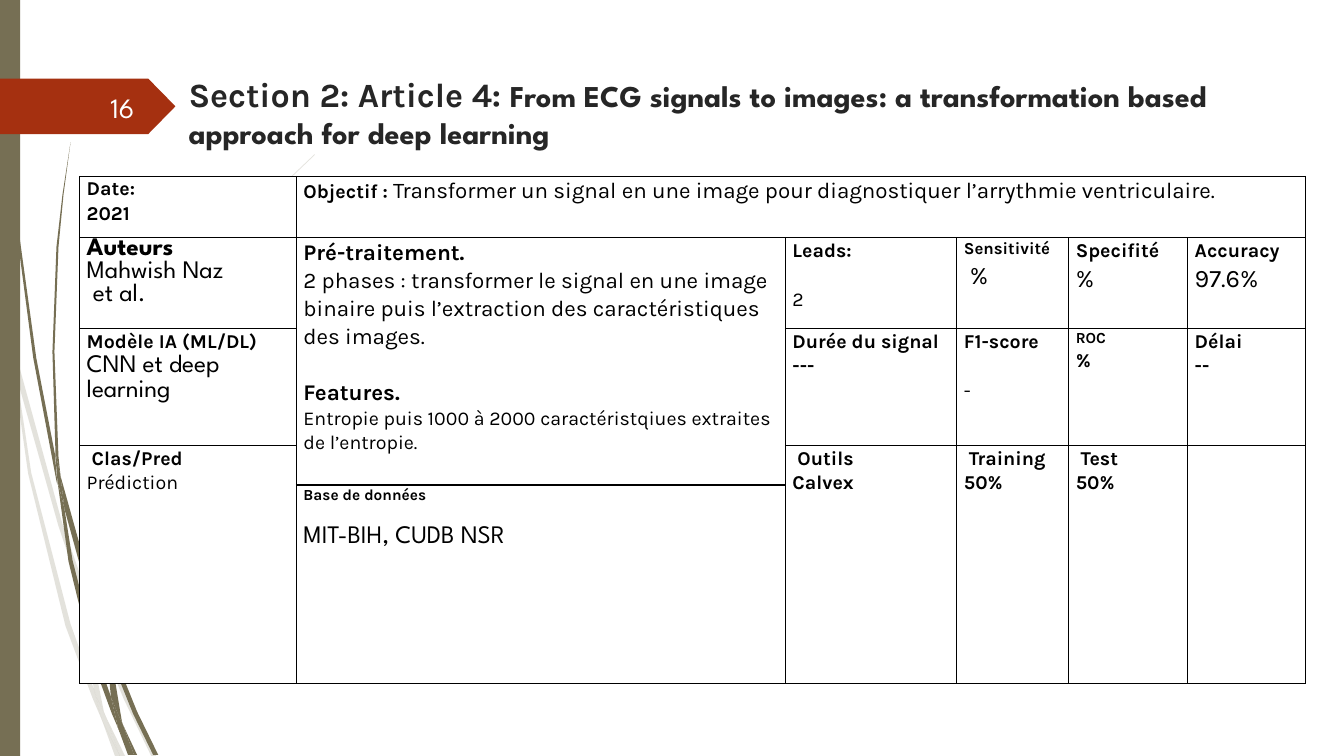
from lxml import etree
from pptx import Presentation
from pptx.dml.color import RGBColor
from pptx.enum.shapes import MSO_SHAPE
from pptx.enum.text import MSO_ANCHOR, PP_ALIGN
from pptx.oxml.ns import qn
from pptx.util import Inches, Pt

RECT, ARROW = MSO_SHAPE.RECTANGLE, MSO_SHAPE.PENTAGON
TOP, MIDDLE = MSO_ANCHOR.TOP, MSO_ANCHOR.MIDDLE
LEFT, RIGHT = PP_ALIGN.LEFT, PP_ALIGN.RIGHT
KARLA, SPARTAN = "Karla", "League Spartan"
OLIVE, RED, BLACK, WHITE, DARK = "766F54", "A53010", "000000", "FFFFFF", "262626"

# Title: runs of (text, format)
TITLE = [
    ("Section 2: Article 4: ", dict(size=24.3, color=DARK)),
    ("From ECG signals to images: a transformation based approach for deep learning",
     dict(size=21.6, font=SPARTAN, color=DARK)),
]

# Table: (row, column, row span, column span, paragraphs);
# a paragraph is (space before, runs), a run is (text, format)
PLAIN = dict(bold=False)
BODY = dict(size=16, bold=False)
HEAD = dict(size=16)
SMALL = dict(size=11)
VALUE = dict(size=18, bold=False)
NAME = dict(size=18, font=SPARTAN, bold=False)
COLS = [2.15, 4.85, 1.7, 1.11, 1.18, 1.17]
ROWS = [0.61, 0.73, 1.02, 0.39, 1.97]
CELLS = [
    (0, 0, 1, 1, [(0, [("Date:", {})]), (0, [("2021", {})])]),
    (0, 1, 1, 5, [(0, [
        ("Objectif : ", {}),
        ("Transformer un signal en une image pour diagnostiquer l’arrythmie ventriculaire.", BODY)])]),
    (1, 0, 1, 1, [(0, [("Auteurs", dict(size=18, font=SPARTAN))]),
                  (0, [("Mahwish Naz \n et al.", NAME)])]),
    (1, 1, 3, 1, [
        (0, [("Pré-traitement.", HEAD)]),
        (0, [("2 phases : transformer le signal en une image binaire puis "
              "l’extraction des caractéristiques des images.", BODY)]),
        (20, [("Features.\n", HEAD),
              ("Entropie puis 1000 à 2000 caractéristqiues extraites de l’entropie.", PLAIN)])]),
    (1, 2, 1, 1, [(0, [("Leads:", {})]), (17.5, [("2", PLAIN)])]),
    (1, 3, 1, 1, [(0, [("Sensitivité", dict(size=12))]), (0, [(" %", VALUE)])]),
    (1, 4, 1, 1, [(0, [("Specifité", {})]), (0, [("%", VALUE)])]),
    (1, 5, 1, 1, [(0, [("Accuracy", {})]), (0, [("97.6%", VALUE)])]),
    (2, 0, 1, 1, [(0, [("Modèle IA (ML/DL)", {})]), (0, [("CNN et deep\nlearning", NAME)])]),
    (2, 2, 1, 1, [(0, [("Durée du signal", {})]), (0, [("---", {})])]),
    (2, 3, 1, 1, [(0, [("F1-score", {})]), (17.5, [("-", PLAIN)])]),
    (2, 4, 1, 1, [(0, [("ROC", SMALL)]), (0, [("%", {})])]),
    (2, 5, 1, 1, [(0, [("Délai", {})]), (0, [("--", {})])]),
    (3, 0, 2, 1, [(0, [(" Clas/Pred", {})]), (0, [("Prédiction", PLAIN)])]),
    (3, 2, 2, 1, [(0, [(" Outils", {})]), (0, [("Calvex", {})])]),
    (3, 3, 2, 1, [(0, [(" Training", {})]), (0, [("50%", {})])]),
    (3, 4, 2, 1, [(0, [(" Test", {})]), (0, [("50%", {})])]),
    (3, 5, 2, 1, []),
    (4, 1, 1, 1, [(0, [("Base de données", SMALL)]), (14, [("MIT-BIH, CUDB NSR", NAME)])]),
]

# Grass blades at the left edge: outlines as x,y points
PALE_BLADES = [
    "0.11,3.5 0.09,3.22 0,2.82 0,2.99 0.1,3.44",
    "0.58,5.22 0.84,5.99 0.85,5.86 0.62,5.2 0.14,3.45 0.17,3.76",
    "0.92,6.07 0.88,5.96 0.88,6.1 1.23,6.94 1.5,7.5 1.55,7.5 1.27,6.92",
    "1.19,7.5 1.24,7.5 1.05,7.11",
    "0.93,6.83 0.7,6.19 0.31,4.69 0.17,3.76 0.11,3.5 0.28,4.7 0.65,6.21 0.92,6.93 1.01,7.14 0.99,7.07",
    "0.84,5.99 0.87,6.46 0.93,6.83 0.96,6.92 1.05,7.11 1.03,7.06 0.91,6.46 0.88,6.1 0.88,6.08",
    "0.88,5.84 0.95,5.22 1.1,4.62 1.6,3.49 2.29,2.45 2.68,1.98 2.9,1.75 3.12,1.54 3.12,1.53 "
    "2.89,1.75 2.68,1.97 2.28,2.44 1.58,3.48 1.07,4.61 0.91,5.22 0.85,5.84 0.85,5.86 0.88,5.96",
    "1.01,7.14 1.14,7.5 1.19,7.5",
    "0.88,6.08 0.88,6.1 0.88,5.96 0.85,5.86 0.84,5.99",
    "0.96,6.92 0.93,6.83 0.99,7.07 1.01,7.14 1.19,7.5 1.05,7.11",
]
DARK_BLADES = [
    "0.07,1.1 0.17,2.33 0.33,3.55 0.56,4.77 0.57,4.81 0.55,4.57 0.55,4.53 0.36,3.55 "
    "0.19,2.32 0.08,1.09 0.05,0.48 0.04,0 0.03,0 0.04,0.48",
    "0.88,5.92 1.06,6.45 1.06,6.31 0.93,5.9 0.6,4.72 0.64,5.05",
    "1.13,6.49 1.1,6.41 1.11,6.56 1.32,7.08 1.52,7.49 1.57,7.49 1.36,7.06",
    "1.1,6.91 0.98,6.57 0.72,5.56 0.64,5.05 0.57,4.77 0.68,5.57 0.93,6.59 1.11,7.08 1.17,7.22 1.16,7.17",
    "0.6,4.72 0.58,4.53 0.54,3.49 0.58,2.45 0.63,1.93 0.7,1.41 0.62,1.93 0.56,2.45 0.52,3.49 0.55,4.49",
    "1.33,7.49 1.36,7.49 1.22,7.19",
    "0.57,4.77 0.64,5.05 0.6,4.72 0.55,4.49 0.55,4.53",
    "1.11,6.33 1.15,5.92 1.25,5.52 1.58,4.76 2.05,4.06 2.31,3.74 2.61,3.44 2.6,3.44 2.31,3.73 "
    "2.04,4.05 1.56,4.74 1.22,5.51 1.11,5.91 1.06,6.31 1.1,6.41",
    "1.17,7.22 1.27,7.49 1.31,7.49",
    "1.06,6.45 1.1,6.91 1.16,7.06 1.22,7.19 1.21,7.16 1.11,6.56 1.09,6.51",
    "1.06,6.45 1.09,6.51 1.11,6.56 1.1,6.41 1.06,6.31",
    "1.16,7.06 1.1,6.91 1.16,7.17 1.17,7.22 1.3,7.49 1.33,7.49 1.22,7.19",
]


def rgb(color):
    return RGBColor.from_string(color)


def paint(sp, color, alpha=100):
    sp.shadow.inherit = False
    sp.line.fill.background()
    sp.fill.solid()
    sp.fill.fore_color.rgb = rgb(color)
    if alpha < 100:
        clr = sp.fill._xPr.find(qn("a:solidFill"))[0]
        etree.SubElement(clr, qn("a:alpha"), val=str(alpha * 1000))


def add_text(p, text, size=14, font=KARLA, color=BLACK, bold=True):
    for i, line in enumerate(text.split("\n")):
        if i:
            p.add_line_break()
        if line:
            r = p.add_run()
            r.text = line
            r.font.size, r.font.name, r.font.bold = Pt(size), font, bold
            r.font.color.rgb = rgb(color)


def add_blade(s, outline, alpha):
    pts = [tuple(Inches(float(v)) for v in xy.split(",")) for xy in outline.split()]
    fb = s.shapes.build_freeform(*pts[0], scale=1.0)
    fb.add_line_segments(pts[1:], close=True)
    paint(fb.convert_to_shape(), OLIVE, alpha)


def style_cell(cell):
    cell.margin_left = cell.margin_right = Inches(0.07)
    cell.margin_top = cell.margin_bottom = 0
    tcPr = cell._tc.get_or_add_tcPr()
    for side in ("a:lnL", "a:lnR", "a:lnT", "a:lnB"):
        ln = etree.SubElement(tcPr, qn(side), w=str(Pt(1)))
        fill = etree.SubElement(ln, qn("a:solidFill"))
        etree.SubElement(fill, qn("a:srgbClr"), val=BLACK)
    cell.fill.solid()
    cell.fill.fore_color.rgb = rgb(WHITE)


prs = Presentation()
prs.slide_width, prs.slide_height = Inches(13.33), Inches(7.5)
s = prs.slides.add_slide(prs.slide_layouts[5])

# Left decoration
for blades, alpha in ((PALE_BLADES, 20), (DARK_BLADES, 100)):
    for outline in blades:
        add_blade(s, outline, alpha)
paint(s.shapes.add_shape(RECT, 0, 0, Inches(0.2), Inches(7.5)), OLIVE)
arrow = s.shapes.add_shape(ARROW, 0, Inches(0.78), Inches(1.74), Inches(0.55))
arrow.adjustments[0] = 0.49
paint(arrow, RED)

# Title
title = s.shapes.title
title.left, title.top, title.width, title.height = map(Inches, (1.77, 0.68, 10.94, 1.32))
tf = title.text_frame
tf.word_wrap, tf.vertical_anchor = True, TOP
tf.paragraphs[0].alignment = LEFT
for text, fmt in TITLE:
    add_text(tf.paragraphs[0], text, **fmt)

# Slide number
tf = s.shapes.add_textbox(*map(Inches, (0.58, 0.86, 0.85, 0.4))).text_frame
tf.word_wrap, tf.vertical_anchor = True, MIDDLE
tf.paragraphs[0].alignment = RIGHT
add_text(tf.paragraphs[0], "16", size=20, font=SPARTAN, color="FEFFFF", bold=False)

# Article table
table = s.shapes.add_table(len(ROWS), len(COLS), Inches(0.79), Inches(1.75),
                           Inches(sum(COLS)), Inches(sum(ROWS))).table
for col, width in zip(table.columns, COLS):
    col.width = Inches(width)
for row, height in zip(table.rows, ROWS):
    row.height = Inches(height)
for cell in table.iter_cells():
    style_cell(cell)
# Room under the model name keeps its row tall beside the merged cell
table.cell(2, 0).margin_bottom = Inches(0.27)
for row, col, down, across, paragraphs in CELLS:
    cell = table.cell(row, col)
    if down * across > 1:
        cell.merge(table.cell(row + down - 1, col + across - 1))
    for i, (before, runs) in enumerate(paragraphs):
        p = cell.text_frame.add_paragraph() if i else cell.text_frame.paragraphs[0]
        p.space_before = Pt(before)
        p.line_spacing = 1.0 if (row, col) == (1, 0) else 1.07
        for text, fmt in runs:
            add_text(p, text, **fmt)

prs.save("out.pptx")
